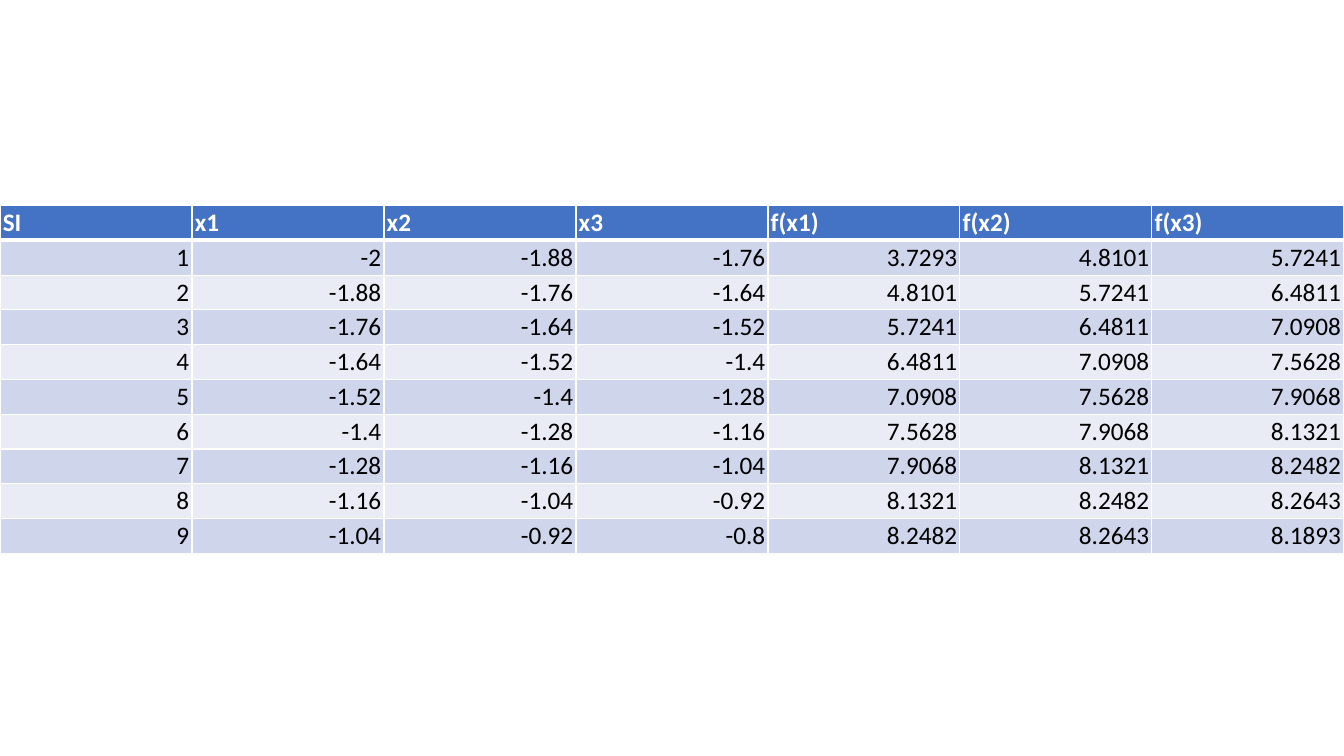
from lxml.etree import SubElement
from pptx import Presentation
from pptx.dml.color import RGBColor
from pptx.enum.text import MSO_ANCHOR as Anchor, PP_ALIGN as Align
from pptx.oxml.ns import qn
from pptx.util import Cm, Pt

HEADINGS = ["SI", "x1", "x2", "x3", "f(x1)", "f(x2)", "f(x3)"]
STEP = 0.12
POINTS = [round(-2 + STEP * i, 2) for i in range(11)]
VALUES = [3.7293, 4.8101, 5.7241, 6.4811, 7.0908, 7.5628,
          7.9068, 8.1321, 8.2482, 8.2643, 8.1893]
HEADER_FILL = "4472C4"
BAND_FILLS = ["E9EBF5", "CFD5EA"]


def color(code):
    return RGBColor.from_string(code)


def add_borders(cell, widths):
    properties = cell._tc.get_or_add_tcPr()
    for side, width in widths.items():
        border = SubElement(properties, qn(f"a:ln{side}"), w=str(Pt(width)))
        fill = SubElement(border, qn("a:solidFill"))
        SubElement(fill, qn("a:srgbClr"), val="FFFFFF")


def style_cell(cell, row):
    is_header = row == 0
    add_borders(cell, {"L": 1, "R": 1,
                       "T": 3 if row == 1 else 1,
                       "B": 3 if is_header else 1})
    cell.fill.solid()
    cell.fill.fore_color.rgb = color(HEADER_FILL if is_header else BAND_FILLS[row % 2])
    cell.vertical_anchor = Anchor.BOTTOM
    cell.margin_left = cell.margin_right = Cm(0.07)
    cell.margin_top = cell.margin_bottom = Cm(0.05)
    paragraph = cell.text_frame.paragraphs[0]
    paragraph.alignment = Align.LEFT if is_header else Align.RIGHT
    paragraph.font.name = "Calibri"
    paragraph.font.size = Pt(18)
    paragraph.font.bold = is_header
    paragraph.font.color.rgb = color("FFFFFF" if is_header else "000000")


def search_rows():
    for i in range(len(POINTS) - 2):
        numbers = [i + 1, *POINTS[i:i + 3], *VALUES[i:i + 3]]
        yield [f"{number:g}" for number in numbers]


def add_search_table(slide, left, top, width, height):
    rows = [HEADINGS, *search_rows()]
    table = slide.shapes.add_table(
        len(rows), len(HEADINGS), left, top, width, height).table
    for row, texts in enumerate(rows):
        for column, text in enumerate(texts):
            cell = table.cell(row, column)
            cell.text = text
            style_cell(cell, row)


deck = Presentation()
deck.slide_width, deck.slide_height = Cm(33.87), Cm(19.05)
search_slide = deck.slides.add_slide(deck.slide_layouts[6])
add_search_table(search_slide, Cm(0), Cm(5.18), deck.slide_width, Cm(8.7))
deck.save("out.pptx")
